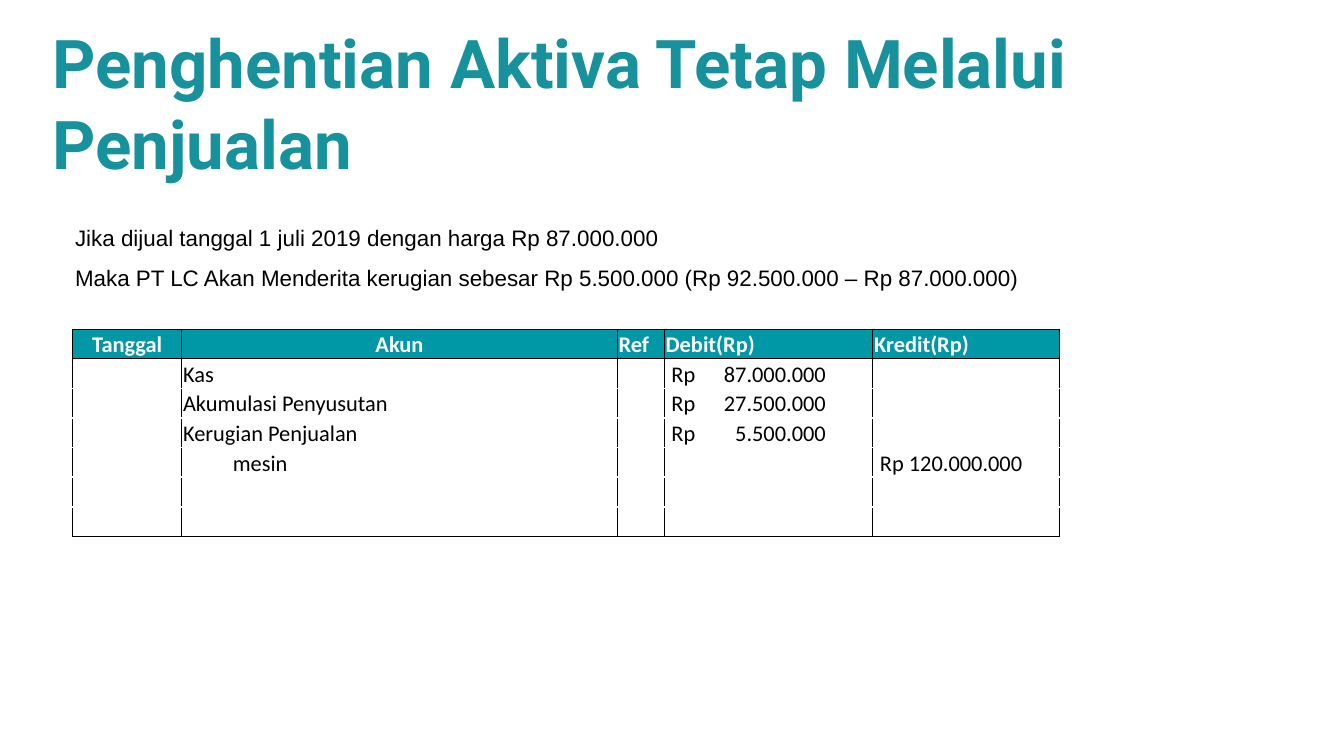
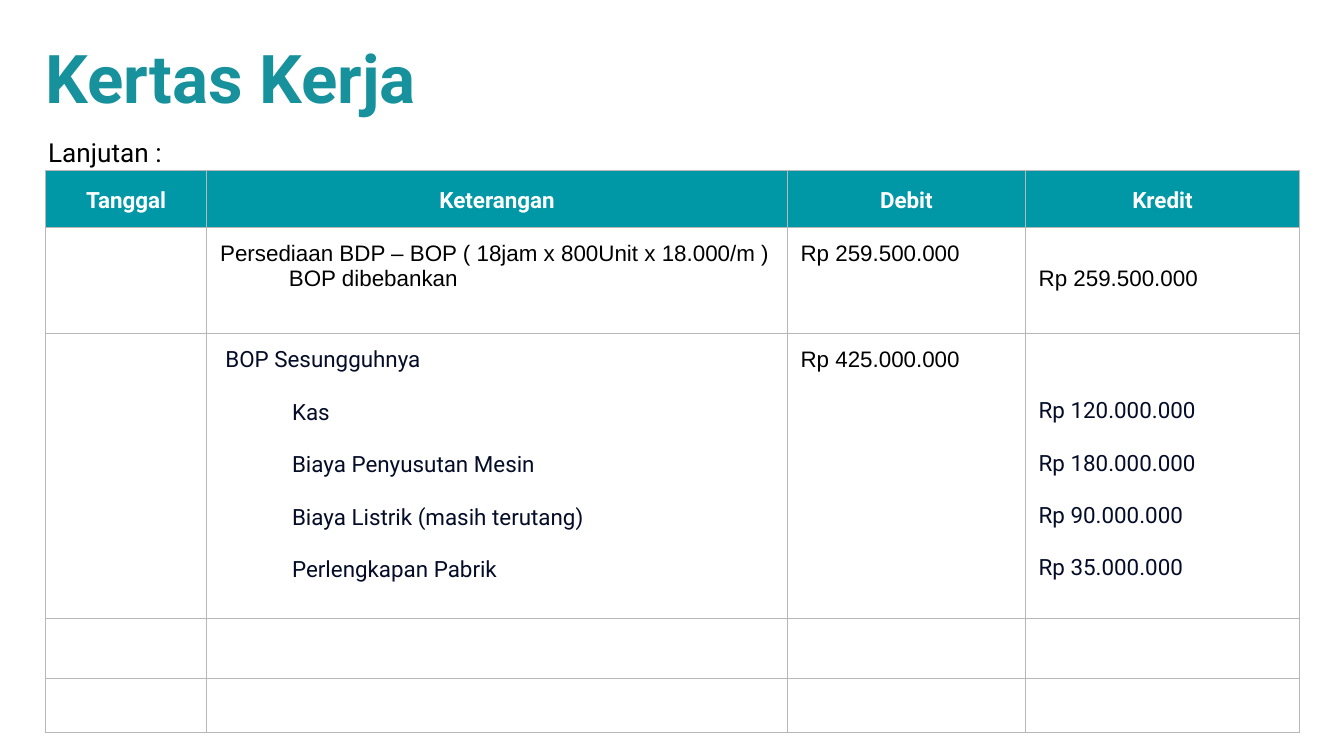
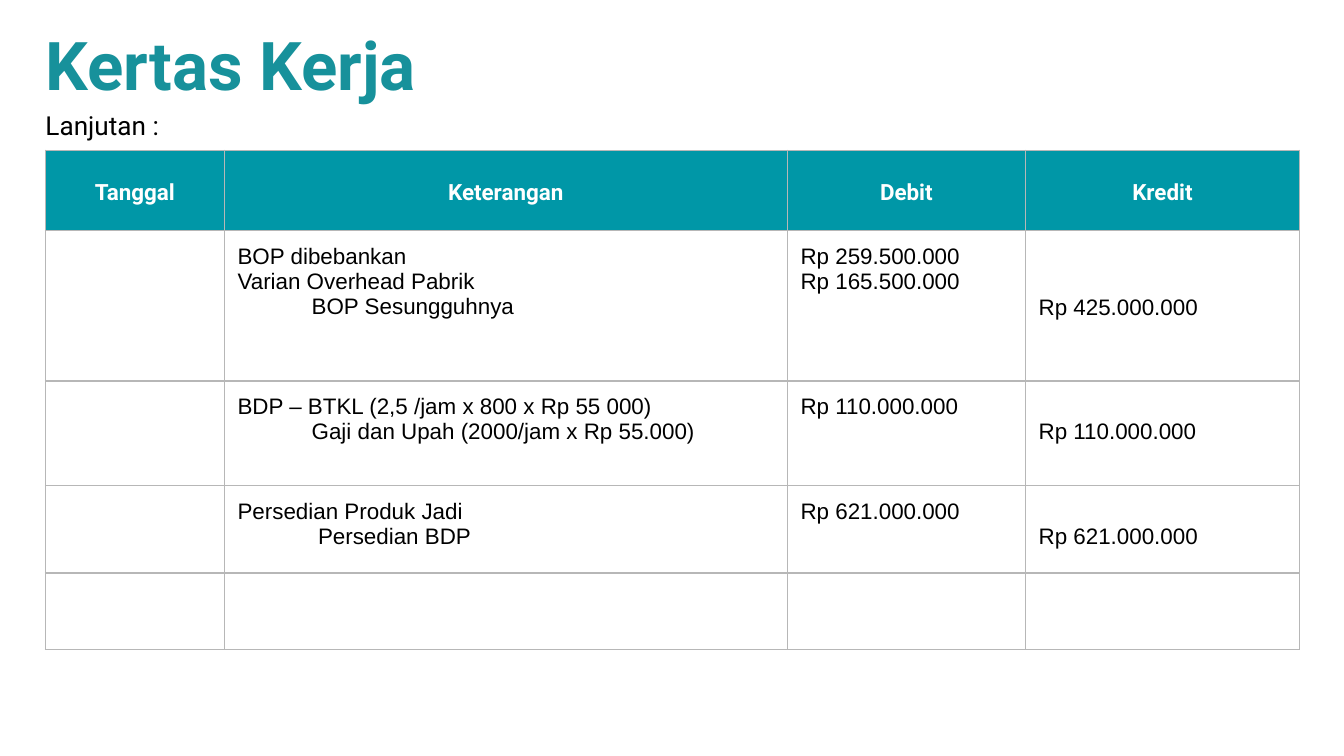
import pptx
import pptx.dml.color
import pptx.enum.text
import pptx.oxml
import pptx.oxml.ns
import pptx.util

Cm = pptx.util.Cm
ALIGN = pptx.enum.text.PP_ALIGN
ANCHOR = pptx.enum.text.MSO_ANCHOR

TITLE_COLOR = "17919B"
HEADER_COLOR = "0097A7"
WHITE = "FFFFFF"
BLACK = "000000"
NAVY = "040C28"
GRAY = "B7B7B7"

ENTRY = ("Arial", 12, BLACK)
DETAIL = ("Roboto", 12, NAVY)
HEADER = ("Roboto", 12, WHITE, True)
CAPTION = ("Roboto", 14, BLACK)
TITLE = ("Roboto", 36, TITLE_COLOR, True)
JOURNAL = ("Calibri", 12, BLACK)
JOURNAL_HEADER = ("Calibri", 12, WHITE, True)

LINE_HEIGHT = 0.48
CELL_MARGIN = 0.25


def write(paragraph, text, style, indent=0):
    """Set the text, then its font from (name, size, colour, bold)."""
    name, size, color, *bold = style
    paragraph.text = text
    if indent:
        paragraph._p.get_or_add_pPr().set("marL", str(Cm(indent)))
    for run in paragraph.runs:
        run.font.name = name
        run.font.size = pptx.util.Pt(size)
        run.font.bold = bool(bold)
        run.font.color.rgb = pptx.dml.color.RGBColor.from_string(color)


def prepare_cell(cell, color, width, edges, fill, margins):
    """Give an empty cell its borders (edges out of LRTB), fill, margins and text size."""
    properties = cell._tc.get_or_add_tcPr()
    for edge in edges:
        properties.append(pptx.oxml.parse_xml(
            f'<a:ln{edge} {pptx.oxml.ns.nsdecls("a")} w="{pptx.util.Pt(width)}">'
            f'<a:solidFill><a:srgbClr val="{color}"/></a:solidFill></a:ln{edge}>'))
    if fill:
        cell.fill.solid()
        cell.fill.fore_color.rgb = pptx.dml.color.RGBColor.from_string(fill)
    else:
        cell.fill.background()
    cell.margin_left, cell.margin_top, cell.margin_right, cell.margin_bottom = map(Cm, margins)
    cell.text_frame.paragraphs[0]._p.append(pptx.oxml.parse_xml(
        f'<a:endParaRPr {pptx.oxml.ns.nsdecls("a")} sz="1200"/>'))


presentation = pptx.Presentation()
presentation.slide_width = Cm(25.4)
presentation.slide_height = Cm(14.29)

# Title, its place, table place, column widths, row heights
pages = [
    ("Penghentian Aktiva Tetap Melalui Penjualan", (0.99, 0.38, 23.57, 3.12),
     (1.37, 6.22), (2.06, 8.23, 0.89, 3.94, 3.53), (0.56,) * 7),
    ("Kertas Kerja", (0.86, 0.66, 23.7, 1.57),
     (0.86, 3.23), (3.05, 10.97, 4.5, 5.18), (1.07, 2.01, 5.38, 1.14, 0.99)),
    ("Kertas Kerja", (0.86, 0.41, 23.7, 1.57),
     (0.86, 2.84), (3.38, 10.64, 4.5, 5.18), (1.52, 2.84, 1.98, 1.65, 1.45)),
]
slides = []
tables = []
for title_text, title_place, table_place, widths, heights in pages:
    slide = presentation.slides.add_slide(presentation.slide_layouts[5])
    slides.append(slide)
    title = slide.shapes.title
    title.left, title.top, title.width, title.height = map(Cm, title_place)
    frame = title.text_frame
    frame.word_wrap = True
    frame.auto_size = pptx.enum.text.MSO_AUTO_SIZE.NONE
    frame.vertical_anchor = ANCHOR.TOP
    frame.margin_left = frame.margin_right = frame.margin_bottom = 0
    frame.margin_top = Cm(0.03)
    write(frame.paragraphs[0], title_text, TITLE)
    frame.paragraphs[0].alignment = ALIGN.LEFT

    table = slide.shapes.add_table(
        len(heights), len(widths), *map(Cm, table_place),
        Cm(sum(widths)), Cm(sum(heights))).table
    table.first_row = table.horz_banding = False
    for column, width in zip(table.columns, widths):
        column.width = Cm(width)
    for row, height in zip(table.rows, heights):
        row.height = Cm(height)
    tables.append(table)

# Slide 1: sale of the asset
sale_box = slides[0].shapes.add_textbox(Cm(1.17), Cm(3.86), Cm(18.64), Cm(1.7))
sale_box.text_frame.word_wrap = False
sale_lines = [
    "Jika dijual tanggal 1 juli 2019 dengan harga Rp 87.000.000",
    "Maka PT LC Akan Menderita kerugian sebesar Rp 5.500.000 (Rp 92.500.000 – Rp 87.000.000)",
]
sale_box.text_frame.text = "\n".join(sale_lines)
for paragraph, line in zip(sale_box.text_frame.paragraphs, sale_lines):
    write(paragraph, line, ENTRY)
    paragraph.line_spacing = 1.5

journal_rows = [
    ("Tanggal", "Akun", "Ref", "Debit(Rp)", "Kredit(Rp)"),
    ("", "Kas", "", "Rp\t87.000.000", ""),
    ("", "Akumulasi Penyusutan", "", "Rp\t27.500.000", ""),
    ("", "Kerugian Penjualan", "", "Rp\t5.500.000", ""),
    ("", "mesin", "", "", "Rp 120.000.000"),
    ("",) * 5,
    ("",) * 5,
]
for row_index, texts in enumerate(journal_rows):
    is_header = row_index == 0
    edges = "LR"
    if row_index <= 1:
        edges += "T"
    if row_index in (0, len(journal_rows) - 1):
        edges += "B"
    for column_index, text in enumerate(texts):
        cell = tables[0].cell(row_index, column_index)
        left = 0.03
        if text == "mesin":
            left = 0.97
        elif text.startswith("Rp"):
            left = 0.14
        prepare_cell(cell, BLACK, 0.5, edges, HEADER_COLOR if is_header else None,
                     (left, 0.02, 0.02, 0))
        cell.vertical_anchor = ANCHOR.BOTTOM
        paragraph = cell.text_frame.paragraphs[0]
        if "\t" in text:
            paragraph._p.get_or_add_pPr().append(pptx.oxml.parse_xml(
                f'<a:tabLst {pptx.oxml.ns.nsdecls("a")}>'
                f'<a:tab pos="{Cm(2.92)}" algn="r"/></a:tabLst>'))
        if text:
            write(paragraph, text, JOURNAL_HEADER if is_header else JOURNAL)
        if is_header and column_index < 2:
            paragraph.alignment = ALIGN.CENTER

# Slides 2 and 3: worksheets
# Entries: row, column, lines skipped at the top, style, space between lines, (text, indent)
worksheets = [
    (slides[1], tables[1], (0.66, 2.24), [
        (1, 1, 0, ENTRY, 0, [("Persediaan BDP – BOP ( 18jam x 800Unit x 18.000/m )", 0),
                             ("BOP dibebankan", 1.3)]),
        (1, 2, 0, ENTRY, 0, [("Rp 259.500.000", 0)]),
        (1, 3, 1, ENTRY, 0, [("Rp 259.500.000", 0)]),
        (2, 1, 0, DETAIL, 14, [("BOP Sesungguhnya", 0.1),
                               ("Kas", 1.36),
                               ("Biaya Penyusutan Mesin", 1.36),
                               ("Biaya Listrik (masih terutang)", 1.36),
                               ("Perlengkapan Pabrik", 1.36)]),
        (2, 2, 0, ENTRY, 0, [("Rp 425.000.000", 0)]),
        (2, 3, 2, DETAIL, 14, [("Rp 120.000.000", 0), ("Rp 180.000.000", 0),
                               ("Rp 90.000.000", 0), ("Rp 35.000.000", 0)]),
    ]),
    (slides[2], tables[2], (0.61, 1.73), [
        (1, 1, 0, ENTRY, 0, [("BOP dibebankan", 0),
                             ("Varian Overhead Pabrik", 0),
                             ("BOP Sesungguhnya", 1.4)]),
        (1, 2, 0, ENTRY, 0, [("Rp 259.500.000", 0), ("Rp 165.500.000", 0)]),
        (1, 3, 2, ENTRY, 0, [("Rp 425.000.000", 0)]),
        (2, 1, 0, ENTRY, 0, [("BDP – BTKL (2,5 /jam x 800 x Rp 55 000)", 0),
                             ("Gaji dan Upah (2000/jam x Rp 55.000)", 1.4)]),
        (2, 2, 0, ENTRY, 0, [("Rp 110.000.000", 0)]),
        (2, 3, 1, ENTRY, 0, [("Rp 110.000.000", 0)]),
        (3, 1, 0, ENTRY, 0, [("Persedian Produk Jadi", 0), ("Persedian BDP", 1.52)]),
        (3, 2, 0, ENTRY, 0, [("Rp 621.000.000", 0)]),
        (3, 3, 1, ENTRY, 0, [("Rp 621.000.000", 0)]),
    ]),
]
for slide, table, caption_place, entries in worksheets:
    caption = slide.shapes.add_textbox(*map(Cm, caption_place), Cm(22.38), Cm(0.99))
    frame = caption.text_frame
    frame.word_wrap = True
    frame.margin_left = frame.margin_top = Cm(CELL_MARGIN)
    frame.margin_right = frame.margin_bottom = Cm(CELL_MARGIN)
    write(frame.paragraphs[0], "Lanjutan :", CAPTION)
    frame.paragraphs[0].line_spacing = 1.15

    for row_index, row in enumerate(table.rows):
        for cell in row.cells:
            prepare_cell(cell, GRAY, 0.75, "LRTB", None if row_index else HEADER_COLOR,
                         (CELL_MARGIN,) * 4)

    for column_index, heading in enumerate(("Tanggal", "Keterangan", "Debit", "Kredit")):
        cell = table.cell(0, column_index)
        cell.vertical_anchor = ANCHOR.MIDDLE
        paragraph = cell.text_frame.paragraphs[0]
        write(paragraph, heading, HEADER)
        paragraph.alignment = ALIGN.CENTER
        paragraph.line_spacing = 1.15

    for row_index, column_index, skipped, style, gap, lines in entries:
        cell = table.cell(row_index, column_index)
        cell.margin_top = Cm(CELL_MARGIN + skipped * LINE_HEIGHT)
        cell.text_frame.text = "\n".join(text for text, indent in lines)
        for index, (text, indent) in enumerate(lines):
            paragraph = cell.text_frame.paragraphs[index]
            write(paragraph, text, style, indent)
            if index and gap:
                paragraph.space_before = pptx.util.Pt(gap)

presentation.save("out.pptx")
